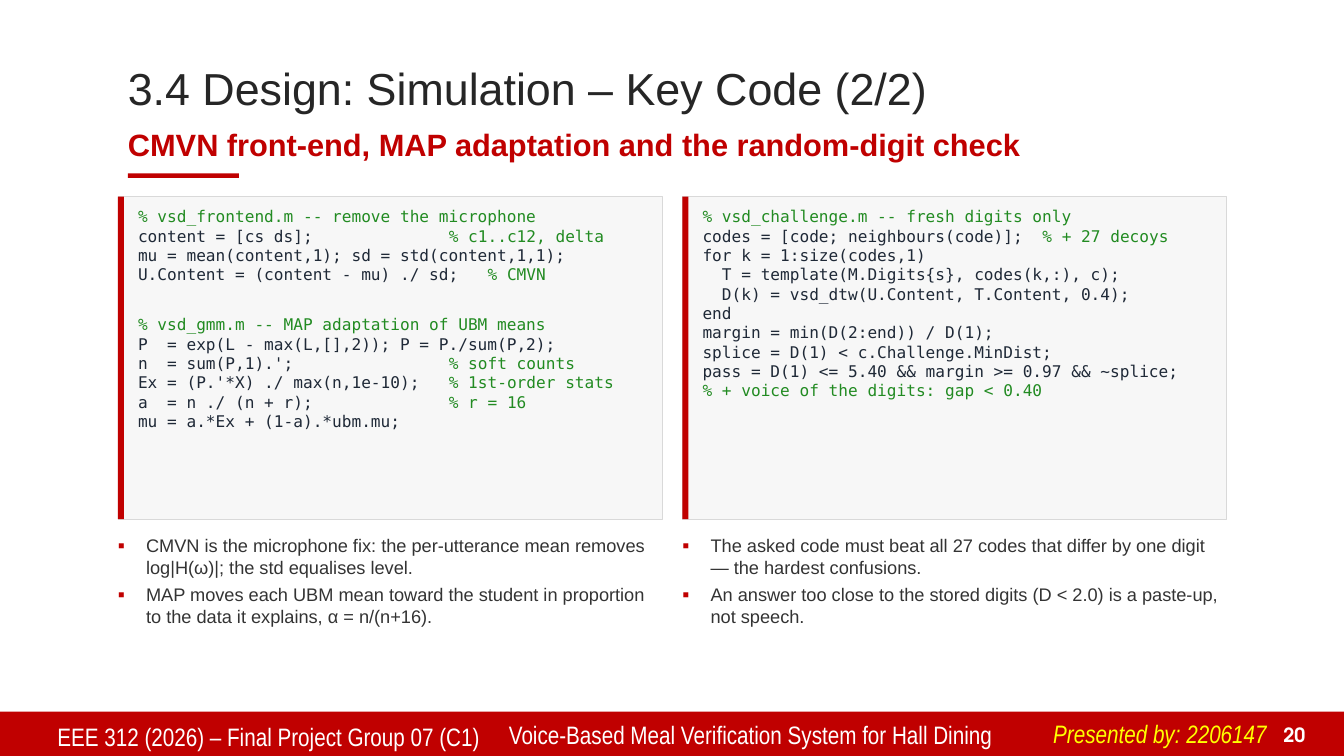
from lxml.etree import SubElement
from pptx import Presentation
from pptx.dml.color import RGBColor
from pptx.enum.shapes import MSO_SHAPE
from pptx.enum.text import MSO_ANCHOR, PP_ALIGN
from pptx.oxml.ns import qn
from pptx.util import Pt

RED, WHITE, INK, GREEN = "C00000", "FFFFFF", "1F2937", "228B22"
COLUMN_LEFTS = (84.24, 487.44)
COLUMN_WIDTH = 388.8
PANEL_TOP, PANEL_HEIGHT = 140.4, 230.4

FRONTEND_CODE = """% vsd_frontend.m -- remove the microphone
content = [cs ds];              % c1..c12, delta
mu = mean(content,1); sd = std(content,1,1);
U.Content = (content - mu) ./ sd;   % CMVN"""

ADAPTATION_CODE = """% vsd_gmm.m -- MAP adaptation of UBM means
P  = exp(L - max(L,[],2)); P = P./sum(P,2);
n  = sum(P,1).';                % soft counts
Ex = (P.'*X) ./ max(n,1e-10);   % 1st-order stats
a  = n ./ (n + r);              % r = 16
mu = a.*Ex + (1-a).*ubm.mu;"""

CHALLENGE_CODE = """% vsd_challenge.m -- fresh digits only
codes = [code; neighbours(code)];  % + 27 decoys
for k = 1:size(codes,1)
  T = template(M.Digits{s}, codes(k,:), c);
  D(k) = vsd_dtw(U.Content, T.Content, 0.4);
end
margin = min(D(2:end)) / D(1);
splice = D(1) < c.Challenge.MinDist;
pass = D(1) <= 5.40 && margin >= 0.97 && ~splice;
% + voice of the digits: gap < 0.40"""

COLUMNS = (
    ((FRONTEND_CODE, ADAPTATION_CODE), (
        "CMVN is the microphone fix: the per-utterance mean removes log|H(ω)|; the std equalises level.",
        "MAP moves each UBM mean toward the student in proportion to the data it explains, α = n/(n+16).",
    )),
    ((CHALLENGE_CODE,), (
        "The asked code must beat all 27 codes that differ by one digit — the hardest confusions.",
        "An answer too close to the stored digits (D < 2.0) is a paste-up, not speech.",
    )),
)


def rgb(value):
    """Turn a hex string into a colour."""
    return RGBColor.from_string(value)


def add_text(slide, box, paragraphs, size, color, font="Arial", bold=False, italic=False,
             align=PP_ALIGN.LEFT, anchor=MSO_ANCHOR.TOP, inset=True, wrap=True,
             line_spacing=None, space_after=0):
    """Add a text box; each paragraph is a string or a list of (text, colour) runs."""
    frame = slide.shapes.add_textbox(*map(Pt, box)).text_frame
    frame.word_wrap = wrap
    frame.vertical_anchor = anchor
    if not inset:
        frame.margin_left = frame.margin_top = frame.margin_right = frame.margin_bottom = 0
    for index, content in enumerate(paragraphs):
        paragraph = frame.add_paragraph() if index else frame.paragraphs[0]
        paragraph.alignment = align
        paragraph.space_after = Pt(space_after)
        if line_spacing:
            paragraph.line_spacing = line_spacing
        for text, run_color in [(content, color)] if isinstance(content, str) else content:
            run = paragraph.add_run()
            run.text = text
            run.font.name, run.font.size = font, Pt(size)
            run.font.bold, run.font.italic = bold, italic
            run.font.color.rgb = rgb(run_color)
    return frame


def add_bar(slide, box, fill, border=None):
    """Add a flat rectangle with an optional thin border."""
    bar = slide.shapes.add_shape(MSO_SHAPE.RECTANGLE, *map(Pt, box))
    bar.shadow.inherit = False
    bar.fill.solid()
    bar.fill.fore_color.rgb = rgb(fill)
    if border:
        bar.line.color.rgb = rgb(border)
        bar.line.width = Pt(0.5)
    else:
        bar.line.fill.background()


def color_comment(line):
    """Split a code line into coloured code and comment runs."""
    code, mark, comment = line.partition("%")
    return [(text, color) for text, color in ((code, INK), (mark + comment, GREEN)) if text]


def add_code_panel(slide, left, sections):
    """Add a code panel whose sections are set apart by paragraph spacing."""
    add_bar(slide, (left, PANEL_TOP, COLUMN_WIDTH, PANEL_HEIGHT), "F7F7F7", "D9D9D9")
    add_bar(slide, (left, PANEL_TOP, 4.32, PANEL_HEIGHT), RED)
    lines = [section.split("\n") for section in sections]
    frame = add_text(slide, (left + 14.4, PANEL_TOP + 7.2, 367.2, 217.44),
                     [color_comment(line) for section in lines for line in section],
                     11.5, INK, font="DejaVu Sans Mono", inset=False)
    section_start = 0
    for section in lines[:-1]:
        section_start += len(section)
        frame.paragraphs[section_start].space_before = Pt(22)


def add_bullets(slide, left, points):
    """Add a list with small red square bullets."""
    frame = add_text(slide, (left, 381.6, COLUMN_WIDTH, 108), points, 13, "333333",
                     inset=False, space_after=4)
    for paragraph in frame.paragraphs:
        properties = paragraph._p.get_or_add_pPr()
        properties.set("marL", str(Pt(20.16)))
        properties.set("indent", str(-Pt(20.16)))
        bullet_color = SubElement(properties, qn("a:buClr"))
        SubElement(bullet_color, qn("a:srgbClr"), val=RED)
        SubElement(properties, qn("a:buSzPct"), val="110000")
        SubElement(properties, qn("a:buFont"), typeface="Arial")
        SubElement(properties, qn("a:buChar"), char="▪")


def add_footer(slide):
    """Add the red footer band with its labels and page number."""
    add_bar(slide, (0, 508.32, 960, 31.68), RED)
    narrow = {"size": 18, "font": "Arial Narrow"}
    add_text(slide, (33.84, 511.92, 320.4, 28.08),
             ["EEE 312 (2026) – Final Project Group 07 (C1)"], color=WHITE, **narrow)
    add_text(slide, (356.4, 510.48, 385.2, 29.52),
             ["Voice-Based Meal Verification System for Hall Dining"], color=WHITE, **narrow)
    add_text(slide, (898.56, 511.92, 41.04, 24.48), ["20"], 14, WHITE,
             font="TeX Gyre Adventor", bold=True, align=PP_ALIGN.RIGHT, anchor=MSO_ANCHOR.BOTTOM)
    add_text(slide, (745.2, 509.76, 174.24, 28.8), ["Presented by: 2206147"],
             color="FFFF00", italic=True, wrap=False, **narrow)


def main():
    """Build and save the slide."""
    deck = Presentation()
    deck.slide_width, deck.slide_height = Pt(960), Pt(540)
    slide = deck.slides.add_slide(deck.slide_layouts[6])
    add_footer(slide)
    add_text(slide, (84.24, 36, 792, 57.6), ["3.4 Design: Simulation – Key Code (2/2)"],
             32, "262626", anchor=MSO_ANCHOR.MIDDLE, line_spacing=0.9)
    add_text(slide, (91.44, 86.4, 784.8, 33.12),
             ["CMVN front-end, MAP adaptation and the random-digit check"],
             22, RED, bold=True, anchor=MSO_ANCHOR.MIDDLE, inset=False, space_after=6)
    add_bar(slide, (91.44, 123.84, 79.2, 3.2), RED)
    for left, (sections, points) in zip(COLUMN_LEFTS, COLUMNS):
        add_code_panel(slide, left, sections)
        add_bullets(slide, left, points)
    deck.save("out.pptx")


if __name__ == "__main__":
    main()
